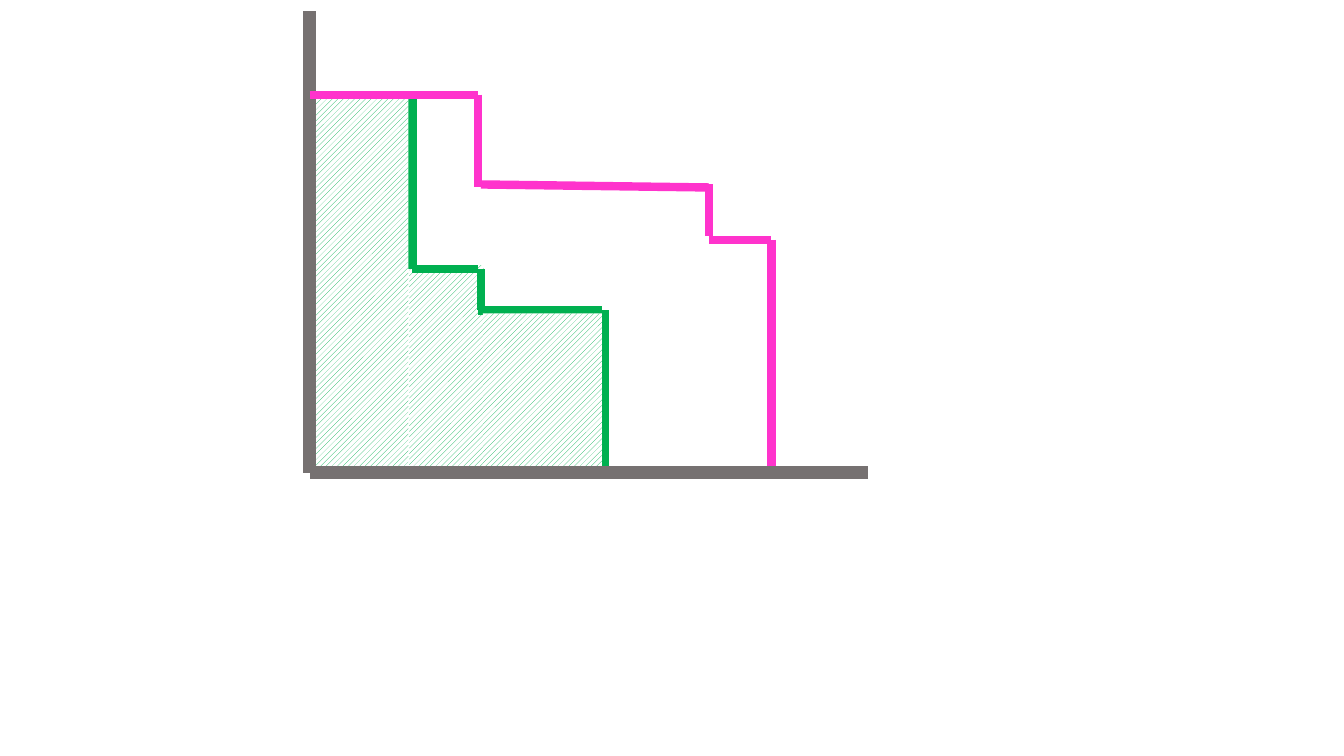
from dataclasses import dataclass

from lxml import etree
from pptx import Presentation
from pptx.dml.color import RGBColor
from pptx.enum.dml import MSO_PATTERN
from pptx.enum.shapes import MSO_CONNECTOR, MSO_SHAPE
from pptx.oxml.ns import qn
from pptx.util import Inches, Length, Pt

STRAIGHT = MSO_CONNECTOR.STRAIGHT
RECTANGLE = MSO_SHAPE.RECTANGLE
DIAGONAL = MSO_PATTERN.WIDE_UPWARD_DIAGONAL

GREEN = RGBColor(0x00, 0xB0, 0x50)
PINK = RGBColor(0xFF, 0x33, 0xCC)
GRAY = RGBColor(0x76, 0x71, 0x71)
WHITE = RGBColor(0xFF, 0xFF, 0xFF)

# Square grid: columns run right and rows run up from where the axes meet
CELL = 0.1
ORIGIN_X, ORIGIN_Y = 3.07, 4.69
STEP_WIDTH, AXIS_WIDTH = 6, 9.5


@dataclass(frozen=True)
class Segment:
    start: tuple[float, float]
    end: tuple[float, float]


@dataclass(frozen=True)
class Hatch:
    left: float
    top: float
    columns: float
    rows: float


def grid_x(column: float) -> Length:
    return Inches(ORIGIN_X + column * CELL)


def grid_y(row: float) -> Length:
    return Inches(ORIGIN_Y - row * CELL)


def draw_segments(page, segments: list[Segment], color: RGBColor, width: float) -> None:
    for segment in segments:
        (start_x, start_y), (end_x, end_y) = segment.start, segment.end
        line = page.shapes.add_connector(
            STRAIGHT, grid_x(start_x), grid_y(start_y), grid_x(end_x), grid_y(end_y))
        line.line.color.rgb = color
        line.line.width = Pt(width)
        etree.SubElement(line._element.spPr, qn("a:effectLst"))


def draw_hatch(page, hatch: Hatch) -> None:
    box = page.shapes.add_shape(
        RECTANGLE, grid_x(hatch.left), grid_y(hatch.top),
        Inches(hatch.columns * CELL), Inches(hatch.rows * CELL))
    box.shadow.inherit = False
    box.line.fill.background()
    box.fill.patterned()
    formats = {"pattern": DIAGONAL}
    for name, value in formats.items():
        setattr(box.fill, name, value)
    box.fill.fore_color.rgb = GREEN
    box.fill.back_color.rgb = WHITE


MIDDLE_HATCH = Hatch(9.9, 20.6, 7.4, 20.5)
OUTER_HATCHES = [Hatch(0.3, 37.3, 9.5, 37.3), Hatch(17.2, 15.8, 11.8, 15.7)]

PINK_STEPS = [
    Segment((17, 28.6), (39.6, 28.3)),
    Segment((39.6, 23.1), (45.8, 23.1)),
    Segment((16.7, 37.5), (16.7, 28.3)),
    Segment((39.6, 28.6), (39.6, 23.5)),
    Segment((45.8, 23.1), (45.8, 0)),
]
GREEN_STEPS = [
    Segment((10.2, 20.2), (16.7, 20.2)),
    Segment((10.2, 37.5), (10.2, 20.2)),
    Segment((17, 20.2), (17, 16.1)),
    Segment((16.7, 16.1), (29, 16.1)),
    Segment((29.3, 16.1), (29.3, 0)),
]
AXES = [Segment((55.4, 0), (0, 0)), Segment((0, 45.8), (0, 0))]
PINK_TOP = [Segment((0, 37.5), (16.7, 37.5))]

deck = Presentation()
deck.slide_width, deck.slide_height = Inches(13.33), Inches(7.5)
page = deck.slides.add_slide(deck.slide_layouts[6])

# Staircases above the middle hatched area
draw_hatch(page, MIDDLE_HATCH)
draw_segments(page, PINK_STEPS, PINK, STEP_WIDTH)
draw_segments(page, GREEN_STEPS, GREEN, STEP_WIDTH)

# Outer hatched areas, then the axes and the top pink step over them
for hatch in OUTER_HATCHES:
    draw_hatch(page, hatch)
draw_segments(page, AXES, GRAY, AXIS_WIDTH)
draw_segments(page, PINK_TOP, PINK, STEP_WIDTH)

deck.save("out.pptx")
